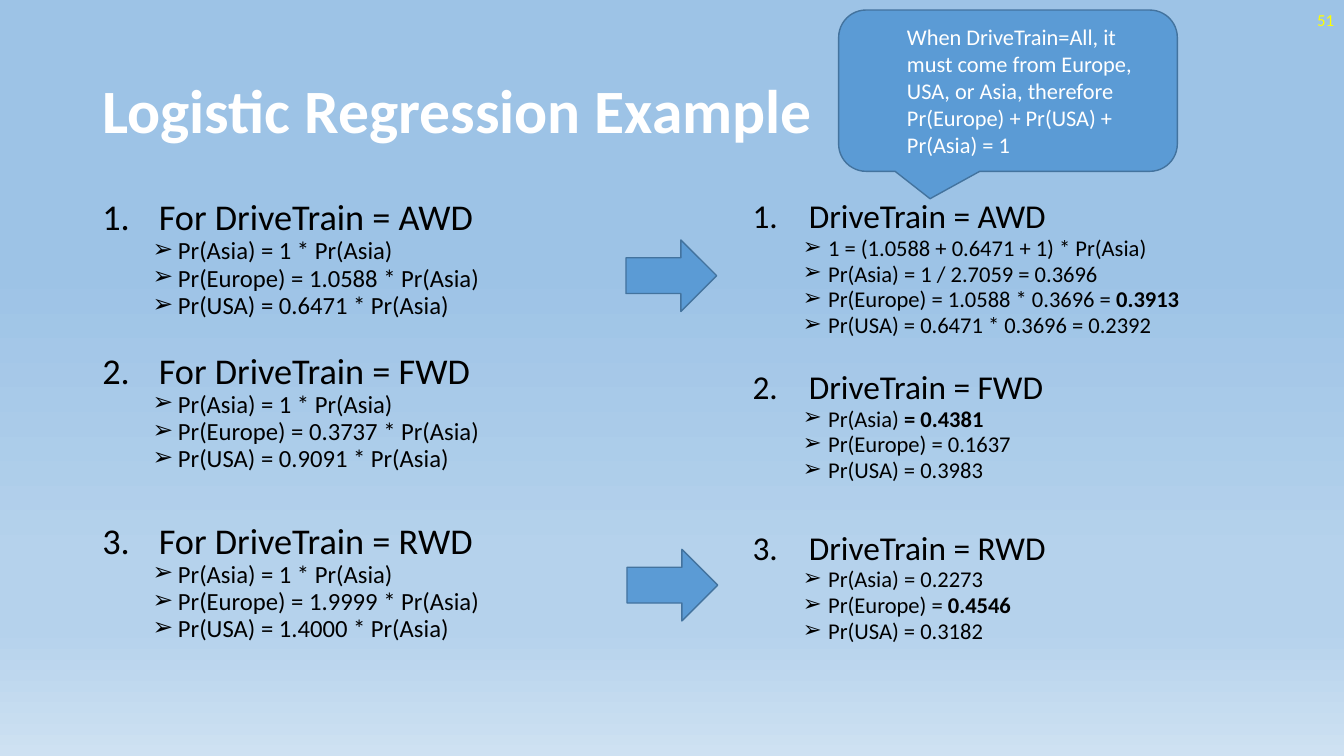
import pptx
import pptx.util
import pptx.dml.color
import pptx.enum.shapes
import pptx.enum.text
import pptx.oxml
import pptx.oxml.ns

SHAPE = pptx.enum.shapes.MSO_SHAPE
ALIGN = pptx.enum.text.PP_ALIGN
MID = pptx.enum.text.MSO_ANCHOR.MIDDLE
TOP = pptx.enum.text.MSO_ANCHOR.TOP
Pt = pptx.util.Pt
NS = pptx.oxml.ns.nsdecls("a")


def hue(code):
    return pptx.dml.color.RGBColor.from_string(code)


def put(item, vals):
    for name, val in vals.items():
        setattr(item, name, val)


class Page:
    """Hold the style and the slide, placed on a grid of 40 columns by 30 rows."""

    font = "Calibri"
    fill = "5B9BD5"
    edge = "43739E"

    def __init__(self, deck):
        self.col = deck.slide_width / 40
        self.row = deck.slide_height / 30
        self.slide = deck.slides.add_slide(deck.slide_layouts[6])

    def area(self, left, top, wide, high):
        return [int(n) for n in (left * self.col, top * self.row,
                                 wide * self.col, high * self.row)]

    def fade(self, stops):
        back = self.slide.background.fill
        back.gradient()
        back.gradient_angle = 270
        ramp = next(self.slide.element.iter(pptx.oxml.ns.qn("a:gsLst")))
        for old in list(ramp):
            ramp.remove(old)
        for spot, code in stops:
            ramp.append(pptx.oxml.parse_xml(
                f'<a:gs {NS} pos="{spot * 1000}"><a:srgbClr val="{code}"/></a:gs>'))

    def box(self, place, anchor=MID):
        frame = self.slide.shapes.add_textbox(*self.area(*place)).text_frame
        put(frame, {"word_wrap": True, "vertical_anchor": anchor})
        return frame

    def shape(self, kind, place, tweaks=()):
        item = self.slide.shapes.add_shape(kind, *self.area(*place))
        item.shadow.inherit = False
        item.fill.solid()
        item.fill.fore_color.rgb = hue(self.fill)
        item.line.color.rgb = hue(self.edge)
        item.line.width = Pt(1)
        for spot, val in enumerate(tweaks):
            item.adjustments[spot] = val
        put(item.text_frame, {"word_wrap": True, "vertical_anchor": MID})
        return item.text_frame

    def label(self, para, text, size, code, bold=False, form=None, dent=None, mark=None):
        put(para, form or {})
        props = para._p.get_or_add_pPr()
        if dent:
            props.set("marL", str(pptx.util.Inches(dent[0])))
            props.set("indent", str(pptx.util.Inches(dent[1])))
        for tag in mark or ():
            props.append(pptx.oxml.parse_xml(tag))
        for spot, part in enumerate(text.split("|")):
            if part:
                run = para.add_run()
                run.text = part
                put(run.font, {"name": self.font, "size": Pt(size),
                               "bold": bold or spot % 2 == 1})
                run.font.color.rgb = hue(code)

    def list(self, place, groups, sizes, gaps, step):
        frame = self.box(place, TOP)
        count = [f'<a:buFont {NS} typeface="+mj-lt"/>',
                 f'<a:buAutoNum {NS} type="arabicPeriod"/>']
        arrow = [f'<a:buFont {NS} typeface="{self.font}"/>',
                 f'<a:buChar {NS} char="➢"/>']
        for spot, (head, *lines) in enumerate(groups):
            para = frame.add_paragraph() if spot else frame.paragraphs[0]
            self.label(para, head, sizes[0], "000000", dent=(0.56, -0.56), mark=count,
                       form={"line_spacing": 0.7, "space_before": Pt(gaps[spot])})
            for line in lines:
                self.label(frame.add_paragraph(), line, sizes[1], "000000",
                           dent=(0.75, -0.25), mark=arrow,
                           form={"level": 1, "line_spacing": 0.7,
                                 "space_before": Pt(step)})


def main():
    deck = pptx.Presentation()
    put(deck, {"slide_width": pptx.util.Inches(13.33),
               "slide_height": pptx.util.Inches(7.5)})
    page = Page(deck)
    page.fade([(35, "9DC3E6"), (74, "B5D2EC"), (83, "B5D2EC"), (100, "CEE1F2")])

    title = page.box((2.75, 1.6, 34.5, 5.8))
    page.label(title.paragraphs[0], "Logistic Regression Example", 44, "FFFFFF",
               bold=True, form={"line_spacing": 0.9})

    odds = [("AWD", "1.0588", "0.6471"), ("FWD", "0.3737", "0.9091"),
            ("RWD", "1.9999", "1.4000")]
    ratios = [(f"For DriveTrain = {drive}", "Pr(Asia) = 1 * Pr(Asia)",
               f"Pr(Europe) = {europe} * Pr(Asia)", f"Pr(USA) = {usa} * Pr(Asia)")
              for drive, europe, usa in odds]
    page.list((2.75, 8, 14.88, 19.04), ratios, (25.9, 17.6), (0, 29.5, 41.5), 4.6)

    number = page.box((31, 0, 9, 1.6))
    page.label(number.paragraphs[0], "51", 12, "FFFF00", form={"alignment": ALIGN.RIGHT})

    chances = [
        ("DriveTrain = AWD", "1 = (1.0588 + 0.6471 + 1) * Pr(Asia)",
         "Pr(Asia) = 1 / 2.7059 = 0.3696",
         "Pr(Europe) = 1.0588 * 0.3696 = |0.3913|",
         "Pr(USA) = 0.6471 * 0.3696 = 0.2392"),
        ("DriveTrain = FWD", "Pr(Asia) |= 0.4381|", "Pr(Europe) = 0.1637",
         "Pr(USA) = 0.3983"),
        ("DriveTrain = RWD", "Pr(Asia) = 0.2273", "Pr(Europe) = |0.4546|",
         "Pr(USA) = 0.3182"),
    ]
    page.list((22.1, 8, 14.88, 19.04), chances, (23.8, 16.1), (0, 28.6, 40), 4.8)

    note = page.shape(SHAPE.ROUNDED_RECTANGULAR_CALLOUT, (24.96, 0.4, 10.08, 6.4),
                      (-0.23, 0.67, 0.17))
    page.label(note.paragraphs[0],
               "When DriveTrain=All, it must come from Europe, USA, or Asia, "
               "therefore Pr(Europe) + Pr(USA) + Pr(Asia) = 1", 16, "FFFFFF",
               dent=(0.5, 0), form={"level": 1, "alignment": ALIGN.LEFT})

    for left, top in ((18.63, 9.52), (18.66, 21.8)):
        page.shape(SHAPE.RIGHT_ARROW, (left, top, 2.7, 2.84))

    deck.save("out.pptx")


if __name__ == "__main__":
    main()
